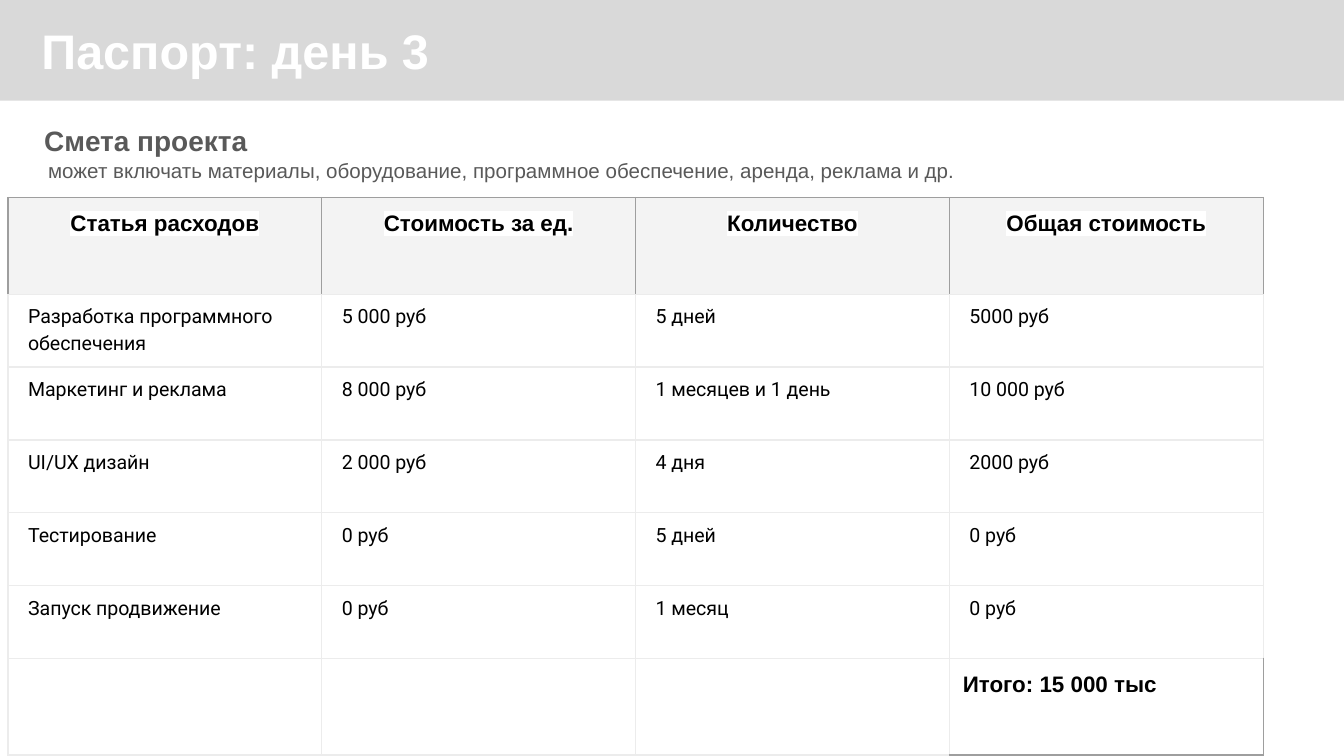
from lxml.etree import SubElement
from pptx import Presentation
from pptx.dml.color import RGBColor
from pptx.enum.shapes import MSO_SHAPE
from pptx.enum.text import MSO_AUTO_SIZE, PP_ALIGN
from pptx.oxml.ns import qn
from pptx.util import Inches, Pt

COLORS = {
    "band": "D9D9D9", "white": "FFFFFF", "gray": "595959", "black": "000000",
    "header": "F3F3F3", "light_border": "ECECEC", "dark_border": "9E9E9E",
}


def write_text(frame, text, size, color, name="Arial", bold=False, **paragraph_format):
    frame.word_wrap = True
    paragraph = frame.paragraphs[0]
    for attribute, value in paragraph_format.items():
        setattr(paragraph, attribute, value)
    run = paragraph.add_run()
    run.text = text
    font_format = {"size": Pt(size), "name": name, "bold": bold}
    for attribute, value in font_format.items():
        setattr(run.font, attribute, value)
    run.font.color.rgb = RGBColor.from_string(COLORS[color])
    return run


def set_borders(cell, borders):
    properties = cell._tc.get_or_add_tcPr()
    for side in "LRTB":
        line = SubElement(properties, qn(f"a:ln{side}"), w=str(Pt(0.75)))
        fill = SubElement(line, qn("a:solidFill"))
        SubElement(fill, qn("a:srgbClr"), val=COLORS[borders.get(side, "light_border")])


# Widescreen slide, 16:9
presentation = Presentation()
presentation.slide_width = Inches(10)
presentation.slide_height = Inches(10 * 9 / 16)
slide = presentation.slides.add_slide(presentation.slide_layouts[6])

# Title band
band = slide.shapes.add_shape(MSO_SHAPE.RECTANGLE, 0, 0, Inches(10.01), Inches(0.75))
band.shadow.inherit = False
band.fill.solid()
band.fill.fore_color.rgb = RGBColor.from_string(COLORS["band"])
band.line.fill.background()

# Title, heading and hint
text_boxes = [
    ((0.21, 0.06, 8.16, 0.64), "Паспорт: день 3", 26, "white", True),
    ((0.23, 0.82, 4.79, 0.45), "Смета проекта", 15, "gray", True),
    ((0.26, 1.08, 7.14, 0.39),
     "может включать материалы, оборудование, программное обеспечение, "
     "аренда, реклама и др.", 11, "gray", False),
]
for box, text, size, color, bold in text_boxes:
    frame = slide.shapes.add_textbox(*map(Inches, box)).text_frame
    for side in ("left", "right", "top", "bottom"):
        setattr(frame, f"margin_{side}", Inches(0.1))
    write_text(frame, text, size, color, bold=bold)
    frame.auto_size = MSO_AUTO_SIZE.SHAPE_TO_FIT_TEXT

# Budget table
budget = [
    ["Статья расходов", "Стоимость за ед.", "Количество", "Общая стоимость"],
    ["Разработка программного обеспечения", "5 000 руб", "5 дней", "5000 руб"],
    ["Маркетинг и реклама", "8 000 руб", "1 месяцев и 1 день", "10 000 руб"],
    ["UI/UX дизайн", "2 000 руб", "4 дня", "2000 руб"],
    ["Тестирование", "0 руб", "5 дней", "0 руб"],
    ["Запуск продвижение", "0 руб", "1 месяц", "0 руб"],
    ["", "", "", "Итого: 15 000 тыс"],
]
last_row = len(budget) - 1
body_height = 2.71
row_heights = [0.72] + [body_height / (last_row - 1)] * (last_row - 1) + [0.72]
table_width = 9.34
table = slide.shapes.add_table(
    len(budget), len(budget[0]), Inches(0.06), Inches(1.47),
    Inches(table_width), Inches(sum(row_heights)),
).table
table.first_row = False
table.horz_banding = False
for column in table.columns:
    column.width = Inches(table_width / len(budget[0]))

for row_index, (row_texts, height) in enumerate(zip(budget, row_heights)):
    table.rows[row_index].height = Inches(height)
    is_header = row_index == 0
    is_body = 0 < row_index < last_row
    for column_index, text in enumerate(row_texts):
        cell = table.cell(row_index, column_index)
        margin_x, margin_y = (0.04, 0.06) if is_body else (0.1, 0.1)
        margins = {"left": margin_x, "right": margin_x, "top": margin_y, "bottom": margin_y}
        for side, margin in margins.items():
            setattr(cell, f"margin_{side}", Inches(margin))

        # Borders go before the fill in the cell properties
        dark_sides = "LTR" if is_header else "RB" if row_index == last_row and text else ""
        set_borders(cell, dict.fromkeys(dark_sides, "dark_border"))
        if is_header:
            cell.fill.solid()
            cell.fill.fore_color.rgb = RGBColor.from_string(COLORS["header"])
        else:
            cell.fill.background()

        if is_body:
            write_text(cell.text_frame, text, 10.5, "black", "Roboto",
                       line_spacing=1.15, space_before=Pt(8), space_after=Pt(8))
            paragraph_properties = cell.text_frame.paragraphs[0]._p.get_or_add_pPr()
            paragraph_properties.set("marL", str(Inches(0.11)))
            paragraph_properties.set("indent", "0")
        elif text:
            alignment = PP_ALIGN.CENTER if is_header else PP_ALIGN.LEFT
            run = write_text(cell.text_frame, text, 12, "black", bold=True, alignment=alignment)
            if is_header:
                # The highlight follows the text fill
                run_properties = run._r.get_or_add_rPr()
                highlight = SubElement(run_properties, qn("a:highlight"))
                SubElement(highlight, qn("a:srgbClr"), val=COLORS["white"])
                run_properties.find(qn("a:solidFill")).addnext(highlight)

presentation.save("out.pptx")
